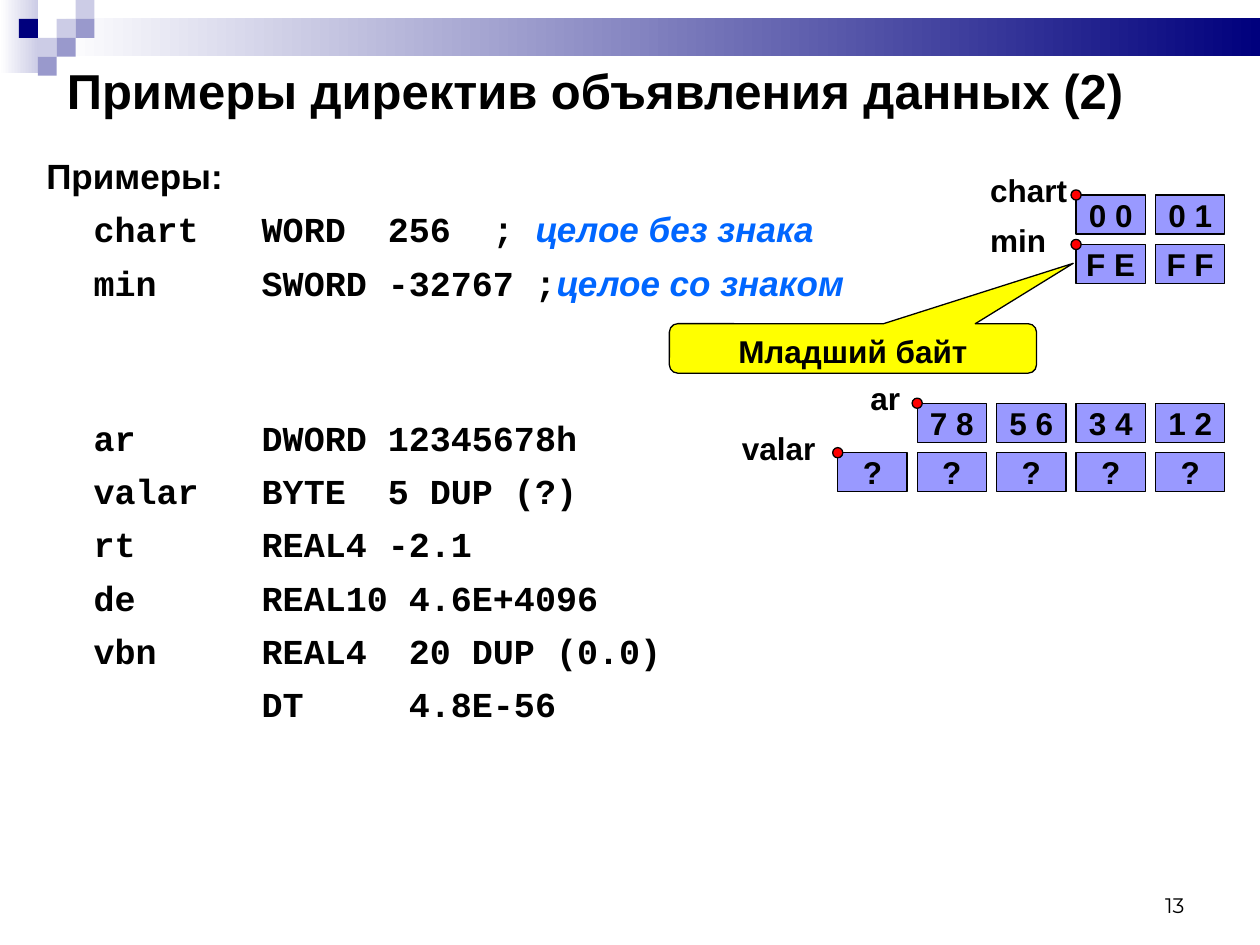
from dataclasses import dataclass

from pptx import Presentation
from pptx.dml.color import RGBColor
from pptx.enum.shapes import MSO_SHAPE
from pptx.enum.text import MSO_ANCHOR, PP_ALIGN
from pptx.util import Pt

RECT, OVAL = MSO_SHAPE.RECTANGLE, MSO_SHAPE.OVAL
CALLOUT = MSO_SHAPE.ROUNDED_RECTANGULAR_CALLOUT
TOP, MIDDLE, BOTTOM = MSO_ANCHOR.TOP, MSO_ANCHOR.MIDDLE, MSO_ANCHOR.BOTTOM
LEFT, CENTER, RIGHT = PP_ALIGN.LEFT, PP_ALIGN.CENTER, PP_ALIGN.RIGHT


@dataclass(frozen=True)
class Theme:
    text: str = "000000"
    comment: str = "0066FF"
    byte: str = "9999FF"
    marker: str = "FF0000"
    note: str = "FFFF00"
    navy: str = "00007D"
    violet: str = "9999CC"
    pale: str = "CCCCE6"
    white: str = "FFFFFF"
    sans: str = "Arial"
    mono: str = "Courier New"
    number_font: str = "Montserrat"
    title_size: float = 28
    body_size: float = 20
    label_size: float = 18
    number_size: float = 12


@dataclass(frozen=True)
class Variable:
    """A named row of bytes in the memory diagram."""
    name: str
    label_left: float
    label_width: float
    top: float
    values: tuple[str, ...]


@dataclass(frozen=True)
class CodeLine:
    code: str
    comment: str = ""
    before: float = 6.4


THEME = Theme()
LAST_BYTE_LEFT, BYTE_PITCH, BYTE_WIDTH, BYTE_HEIGHT = 660.3, 45.4, 39.6, 22.4
MARKER_SIZE = 5.8
LABEL_RISE = 17.2
GRID = 10.8

VARIABLES = (
    Variable("chart", 558.7, 73.4, 111.4, ("0 0", "0 1")),
    Variable("min", 558.7, 67.7, 139.7, ("F E", "F F")),
    Variable("ar", 490.3, 45.4, 230.4, ("7 8", "5 6", "3 4", "1 2")),
    Variable("valar", 416.9, 56.9, 258.7, ("?",) * 5),
)
CODE = (
    CodeLine("chart   WORD  256  ; ", "целое без знака"),
    CodeLine("min     SWORD -32767 ;", "целое со знаком"),
    CodeLine("ar      DWORD 12345678h", before=64.8),
    CodeLine("valar   BYTE  5 DUP (?)"),
    CodeLine("rt      REAL4 -2.1"),
    CodeLine("de      REAL10 4.6E+4096"),
    CodeLine("vbn     REAL4  20 DUP (0.0)"),
    CodeLine("        DT     4.8E-56"),
)
# Corner squares: column, row, colour
SQUARES = (
    (3, 1, THEME.pale), (4, 0, THEME.pale), (4, 1, THEME.violet),
    (2, 2, THEME.pale), (1, 1, THEME.navy), (3, 2, THEME.violet),
    (2, 3, THEME.violet),
)


def rgb(color: str) -> RGBColor:
    return RGBColor.from_string(color)


def add_span(para, text: str, size: float, font: str = THEME.sans,
             color: str = THEME.text, bold: bool = True, italic: bool = False) -> None:
    span = para.add_run()
    span.text = text
    span.font.name, span.font.size = font, Pt(size)
    span.font.bold, span.font.italic = bold, italic
    span.font.color.rgb = rgb(color)


def add_shape(page, kind, left: float, top: float, width: float, height: float,
              fill: str, outlined: bool = True):
    shape = page.shapes.add_shape(kind, Pt(left), Pt(top), Pt(width), Pt(height))
    shape.shadow.inherit = False
    shape.fill.solid()
    shape.fill.fore_color.rgb = rgb(fill)
    if outlined:
        shape.line.color.rgb = rgb(THEME.text)
        shape.line.width = Pt(0.75)
    else:
        shape.line.fill.background()
    return shape


def add_fade(page, left: float, top: float, width: float, height: float,
             color: str) -> None:
    """Band fading from the colour at the right to white at the left."""
    band = add_shape(page, RECT, left, top, width, height, color, outlined=False)
    band.fill.gradient()
    band.fill.gradient_angle = 180
    for stop, shade in zip(band.fill.gradient_stops, (color, THEME.white)):
        stop.color.rgb = rgb(shade)


def first_para(box, anchor, align, wrap: bool = True):
    frame = box.text_frame
    frame.word_wrap = wrap
    frame.vertical_anchor = anchor
    para = frame.paragraphs[0]
    para.alignment = align
    return para


def add_box(page, left: float, top: float, width: float, height: float):
    return page.shapes.add_textbox(Pt(left), Pt(top), Pt(width), Pt(height))


def add_code(page) -> None:
    box = add_box(page, 19.4, 84.8, 700.6, 455.2)
    add_span(first_para(box, TOP, LEFT), "Примеры:", THEME.body_size)
    for line in CODE:
        para = box.text_frame.add_paragraph()
        properties = para._p.get_or_add_pPr()
        properties.set("marL", str(Pt(27)))
        para.space_before = Pt(line.before)
        add_span(para, line.code, THEME.body_size, THEME.mono)
        if line.comment:
            add_span(para, line.comment, THEME.body_size,
                     color=THEME.comment, italic=True)


def add_variable(page, variable: Variable) -> None:
    label = add_box(page, variable.label_left, variable.top - LABEL_RISE,
                    variable.label_width, 28.8)
    add_span(first_para(label, TOP, LEFT), variable.name, THEME.label_size)
    start = LAST_BYTE_LEFT - (len(variable.values) - 1) * BYTE_PITCH
    for index, value in enumerate(variable.values):
        byte = add_shape(page, RECT, start + index * BYTE_PITCH, variable.top,
                         BYTE_WIDTH, BYTE_HEIGHT, THEME.byte)
        add_span(first_para(byte, MIDDLE, CENTER, wrap=False), value, THEME.label_size)
    # Address marker on the first byte's corner
    add_shape(page, OVAL, start - MARKER_SIZE / 2, variable.top - MARKER_SIZE / 2,
              MARKER_SIZE, MARKER_SIZE, THEME.marker)


def main() -> None:
    deck = Presentation()
    deck.slide_width, deck.slide_height = Pt(720), Pt(540)
    page = deck.slides.add_slide(deck.slide_layouts[5])

    # Header decoration
    add_fade(page, 0, 0, 22, 41.8, THEME.pale)
    add_fade(page, 32.4, 10.4, 687.6, 21.6, THEME.navy)
    for column, row, color in SQUARES:
        add_shape(page, RECT, column * GRID, row * GRID, GRID, GRID, color,
                  outlined=False)

    # Title
    title = page.shapes.title
    title.left, title.top, title.width, title.height = Pt(31), Pt(31), Pt(689), Pt(41)
    add_span(first_para(title, MIDDLE, LEFT),
             "Примеры директив объявления данных (2)", THEME.title_size)

    add_code(page)

    # Memory diagram
    for variable in VARIABLES:
        add_variable(page, variable)

    # Callout pointing at the low byte
    note = add_shape(page, CALLOUT, 382.5, 185, 209.8, 28.3, THEME.note)
    for index, value in enumerate((0.6, -1.72, 0.17)):
        note.adjustments[index] = value
    add_span(first_para(note, TOP, CENTER), "Младший байт", THEME.label_size)

    # Page number
    number = add_box(page, 516.2, 491.8, 167.8, 36)
    add_span(first_para(number, BOTTOM, RIGHT), "13", THEME.number_size,
             THEME.number_font, bold=False)

    deck.save("out.pptx")


if __name__ == "__main__":
    main()
